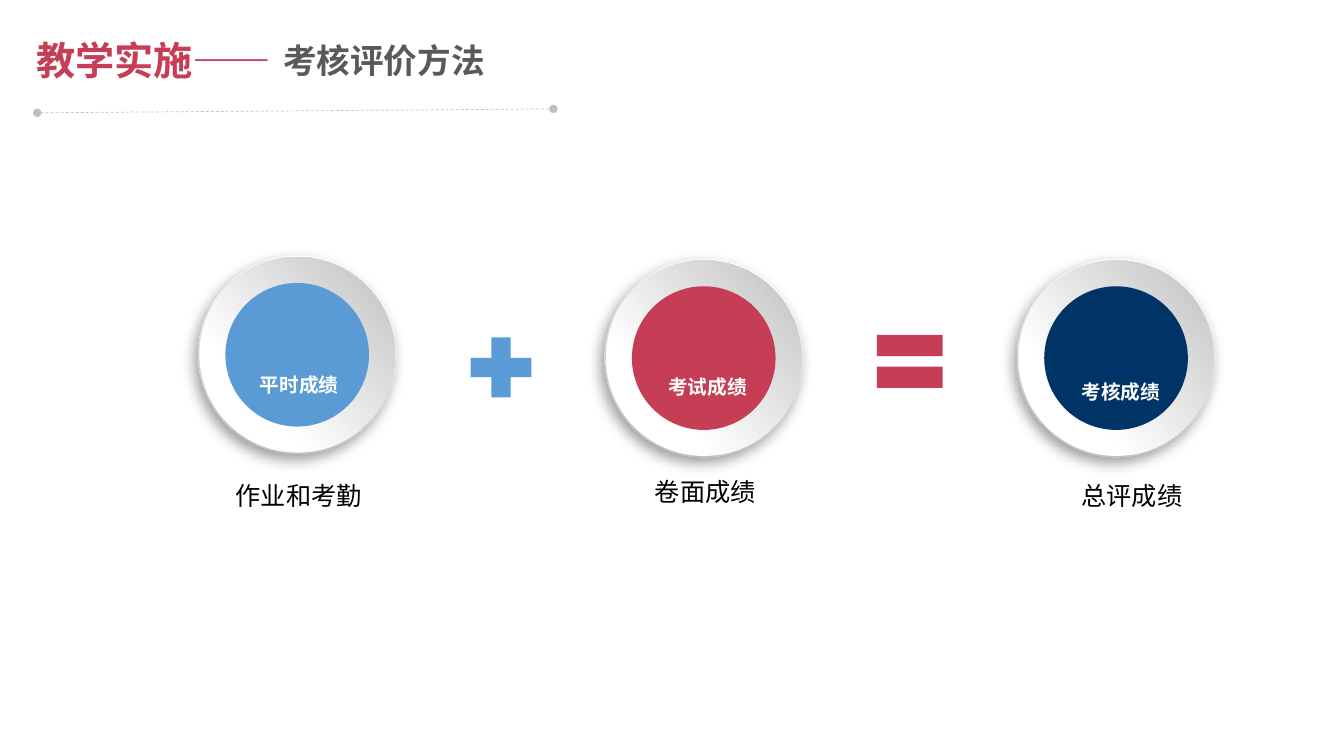
"""Build the slide that shows how the final course grade is made up."""
import pptx
import pptx.dml.color
import pptx.enum.dml
import pptx.enum.shapes
import pptx.enum.text
import pptx.oxml
import pptx.oxml.ns
import pptx.util

Pt = pptx.util.Pt
RGB = pptx.dml.color.RGBColor
Shape = pptx.enum.shapes.MSO_SHAPE
AutoSize = pptx.enum.text.MSO_AUTO_SIZE

RED = RGB(0xC6, 0x3E, 0x55)
BLUE = RGB(0x5B, 0x9B, 0xD5)
NAVY = RGB(0x00, 0x33, 0x66)
DARK_GRAY = RGB(0x59, 0x59, 0x59)
RULE_GRAY = RGB(0xBF, 0xBF, 0xBF)
RIM_GRAY = RGB(0xB8, 0xB8, 0xB8)
WHITE = RGB(0xFF, 0xFF, 0xFF)
BLACK = RGB(0, 0, 0)
CJK_FONT = "Noto Sans CJK SC"

HEADINGS = [
    dict(text="教学实施——", box=(18.7, 22.3, 188.6, 41), size=28, color=RED),
    dict(text="考核评价方法", box=(195.1, 25.2, 159.8, 36), size=24, color=DARK_GRAY),
]
RULE = (26.6, 80.6, 395.3, 77.8)
DIALS = [
    dict(center=(212.3, 253.4), color=BLUE, label="平时成绩", label_box=(178.6, 262.8, 93.6, 24.5),
         caption="作业和考勤", caption_at=(161.3, 339.8)),
    dict(center=(502.7, 255.8), color=RED, label="考试成绩", label_box=(470.2, 264.3, 89.3, 24.5),
         caption="卷面成绩", caption_at=(460.8, 336.5)),
    dict(center=(797.2, 255.8), color=NAVY, label="考核成绩", label_box=(765.4, 267.8, 79.2, 24.5),
         caption="总评成绩", caption_at=(765.4, 339.8)),
]
CAPTION_SIZE = (146.2, 29)
OPERATORS = [
    (Shape.MATH_PLUS, (328.3, 233.3, 59, 58.3), BLUE),
    (Shape.MATH_EQUAL, (617.8, 226.1, 64.1, 64.1), RED),
]
RIM = dict(diameter=141.5, turn=62.3, stops=[(0.17, WHITE), (0.88, RIM_GRAY)])
BEVEL = dict(diameter=139.7, turn=273, stops=[(0.29, WHITE), (0.98, RULE_GRAY)])
CORE_DIAMETER = 102.6


def child(parent, tag, **attributes):
    """Append one drawing element to parent and return it."""
    element = pptx.oxml.parse_xml(f'<a:{tag} {pptx.oxml.ns.nsdecls("a")}/>')
    for key, value in attributes.items():
        element.set(key, value)
    parent.append(element)
    return element


def add_text(shapes, text, *, box, size, color, font=CJK_FONT, bold=True, wrap=True):
    """Add a text box that holds one formatted line."""
    frame = shapes.add_textbox(*map(Pt, box)).text_frame
    frame.word_wrap = wrap
    frame.auto_size = AutoSize.SHAPE_TO_FIT_TEXT
    run = frame.paragraphs[0].add_run()
    run.text = text
    run.font.size = Pt(size)
    run.font.bold = bold
    run.font.color.rgb = color
    run.font.name = font
    child(run.font._element, "ea", typeface=CJK_FONT)


def add_plain(shapes, kind, box, color=None):
    """Add a preset shape without outline or shadow."""
    shape = shapes.add_shape(kind, *map(Pt, box))
    shape.shadow.inherit = False
    shape.line.fill.background()
    if color is not None:
        shape.fill.solid()
        shape.fill.fore_color.rgb = color
    return shape


def disc_box(center, diameter):
    """Return the square around a centred disc."""
    return (center[0] - diameter / 2, center[1] - diameter / 2, diameter, diameter)


def add_ring(shapes, center, diameter, turn, stops):
    """Add a turned disc with a two-stop gradient."""
    ring = add_plain(shapes, Shape.OVAL, disc_box(center, diameter))
    ring.rotation = turn
    ring.fill.gradient()
    ring.fill.gradient_angle = 315
    for stop, (position, color) in zip(ring.fill.gradient_stops, stops):
        stop.position = position
        stop.color.rgb = color
    return ring


def add_dial(slide, dial):
    """Add one grade dial and the caption under it."""
    shapes = slide.shapes.add_group_shape().shapes
    rim = add_ring(shapes, dial["center"], **RIM)
    effects = rim._element.spPr.find(pptx.oxml.ns.qn("a:effectLst"))
    shadow = child(effects, "outerShdw", blurRad=str(Pt(10)), dist=str(Pt(5)),
                   dir=str(123 * 60000), algn="ctr", rotWithShape="0")
    child(child(shadow, "srgbClr", val=str(BLACK)), "alpha", val="39000")
    add_ring(shapes, dial["center"], **BEVEL)
    add_plain(shapes, Shape.OVAL, disc_box(dial["center"], CORE_DIAMETER), dial["color"])
    add_text(shapes, dial["label"], box=dial["label_box"], size=14, color=WHITE)
    add_text(slide.shapes, dial["caption"], box=dial["caption_at"] + CAPTION_SIZE, size=18,
             color=BLACK, font="Calibri", bold=False)


def add_rule(slide):
    """Add the dashed rule with round ends under the headings."""
    rule = slide.shapes.add_connector(pptx.enum.shapes.MSO_CONNECTOR.STRAIGHT, *map(Pt, RULE))
    rule.line.color.rgb = RULE_GRAY
    rule.line.width = Pt(0.5)
    rule.line.dash_style = pptx.enum.dml.MSO_LINE.DASH
    outline = rule.line._get_or_add_ln()
    for end in ("headEnd", "tailEnd"):
        child(outline, end, type="oval")
    child(rule._element.spPr, "effectLst")


def main():
    """Build and save the slide."""
    deck = pptx.Presentation()
    deck.slide_width, deck.slide_height = Pt(960), Pt(540)
    slide = deck.slides.add_slide(deck.slide_layouts[6])
    for heading in HEADINGS:
        add_text(slide.shapes, wrap=False, **heading)
    add_rule(slide)
    for kind, box, color in OPERATORS:
        add_plain(slide.shapes, kind, box, color)
    for dial in DIALS:
        add_dial(slide, dial)
    deck.save("out.pptx")


if __name__ == "__main__":
    main()
